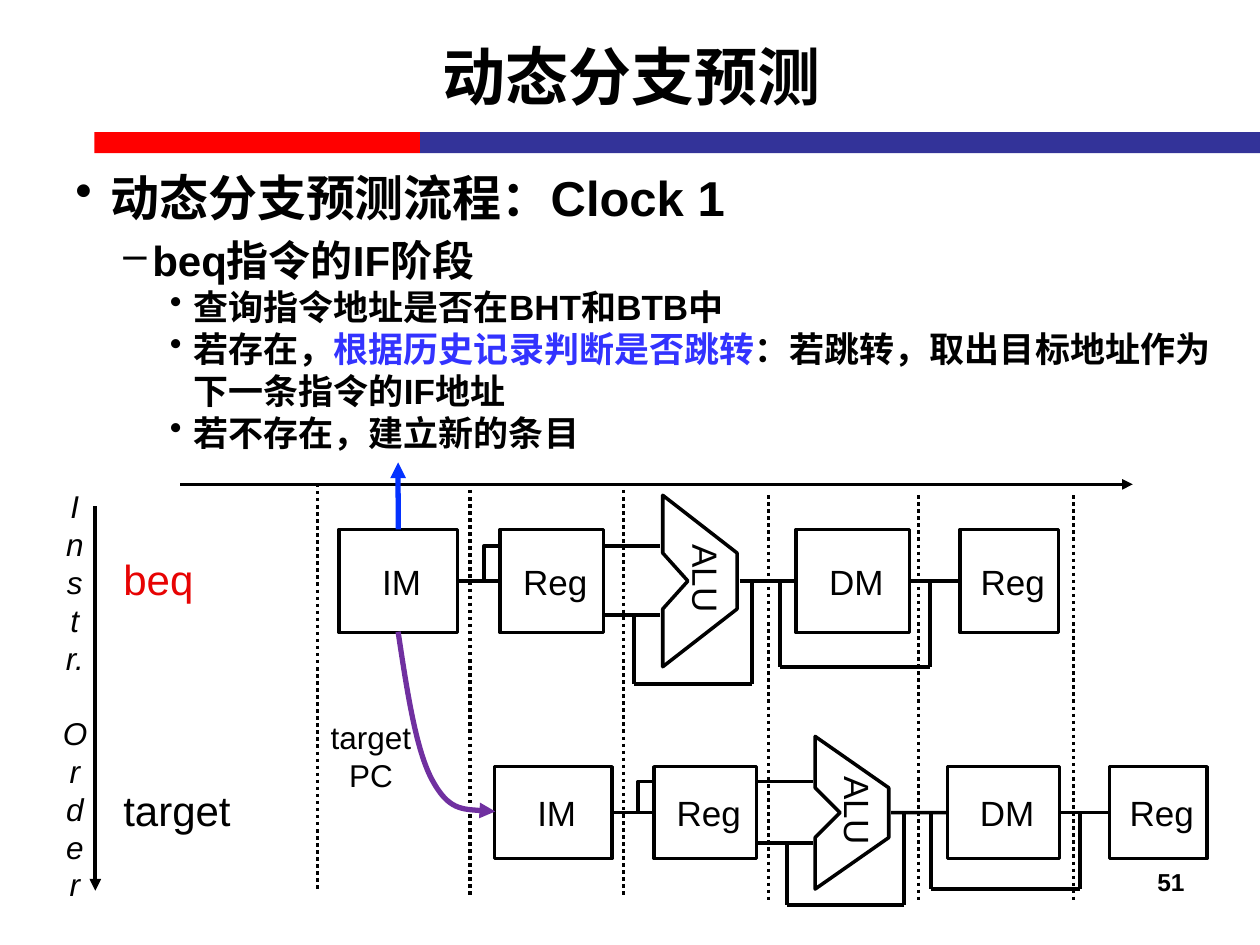
from dataclasses import dataclass
from itertools import pairwise
from typing import Optional

from lxml.etree import SubElement
from pptx import Presentation
from pptx.dml.color import RGBColor as Rgb
from pptx.enum.dml import MSO_LINE as Dash
from pptx.enum.shapes import MSO_CONNECTOR as Conn, MSO_SHAPE as Form
from pptx.enum.text import MSO_ANCHOR as Anchor, PP_ALIGN as Align
from pptx.oxml.ns import qn
from pptx.util import Pt

INK = {"black": "000000", "red": "FF0000", "navy": "333399", "link": "3333FF",
       "blue": "0432FF", "beq": "E70303", "plum": "7030A0"}


@dataclass
class Row:
    mid: float
    left: float
    wide: float
    high: float

    def at(self, x: float, y: float) -> tuple:
        return self.left + x * self.wide, self.mid + y * self.high


@dataclass
class Stage:
    name: str
    left: float
    width: float


@dataclass
class Item:
    level: int
    size: float
    mark: str
    left: float
    hang: float
    gap: float
    words: tuple


@dataclass
class Label:
    text: str
    box: tuple
    size: float
    ink: str = "black"
    bold: bool = False
    slant: bool = False
    align: Align = Align.LEFT
    wrap: bool = False
    turn: float = 0


STAGES = (Stage("IM", 193.7, 67.7), Stage("Reg", 285.8, 59),
          Stage("DM", 455, 64.8), Stage("Reg", 548.6, 56.2))
HALF = 29.5
ROWS = (Row(332, 0, 1, 1), Row(464.4, 90.9, 0.99, 0.89))
ALU = ((378.7, 16), (393.1, 0), (378.7, -16), (378.7, -49),
       (421.2, -16), (421.2, 16), (378.7, 49))
LOOPS = (((362.2, 19.5), (362.2, 59), (429.8, 59), (429.8, 0)),
         ((445.7, 0), (445.7, 49), (531.4, 49), (531.4, 0)))
ITEMS = (
    Item(0, 28, "•", 20, 20, 0, (("动态分支预测流程：Clock 1", "black"),)),
    Item(1, 24, "–", 44, 16.5, 4.8, (("beq指令的IF阶段", "black"),)),
    Item(2, 20, "•", 67.5, 13.5, 0, (("查询指令地址是否在BHT和BTB中", "black"),)),
    Item(2, 20, "•", 67.5, 13.5, 0, (
        ("若存在，", "black"), ("根据历史记录判断是否跳转", "link"),
        ("：若跳转，取出目标地址作为下一条指令的IF地址", "black"))),
    Item(2, 20, "•", 67.5, 13.5, 0, (("若不存在，建立新的条目", "black"),)),
)
LABELS = (
    Label("beq", (63.4, 312.5, 54.7, 36), 24, "beq"),
    Label("target", (63.4, 445, 76.3, 36), 24),
    Label("target\nPC", (181.4, 406.8, 61.2, 51), 18, align=Align.CENTER),
    Label("51", (516.2, 491.8, 167.8, 37.4), 14, bold=True, align=Align.RIGHT, wrap=True),
)


def color(name: str) -> Rgb:
    return Rgb.from_string(INK[name])


def style(run, size: float, ink: str = "black", bold: bool = False, slant: bool = False) -> None:
    font = run.font
    font.name, font.size, font.bold, font.italic = "Arial", Pt(size), bold, slant
    font.color.rgb = color(ink)


def write(shapes, label: Label):
    box = shapes.add_textbox(*map(Pt, label.box))
    box.rotation = label.turn
    frame = box.text_frame
    frame.word_wrap = label.wrap
    frame.text = label.text
    for para in frame.paragraphs:
        para.alignment = label.align
        for run in para.runs:
            style(run, label.size, label.ink, label.bold, label.slant)
    return frame


def stroke(shape, ink: str, width: float, arrow: bool = False,
           dash: Optional[Dash] = None) -> None:
    pen = shape.line
    pen.color.rgb = color(ink)
    pen.width = Pt(width)
    if dash is not None:
        pen.dash_style = dash
    if arrow:
        SubElement(shape._element.spPr.find(qn("a:ln")), qn("a:tailEnd"), type="triangle")


def line(shapes, start: tuple, end: tuple, width: float = 2, ink: str = "black",
         arrow: bool = False, dash: Optional[Dash] = None):
    wire = shapes.add_connector(Conn.STRAIGHT, *map(Pt, start + end))
    stroke(wire, ink, width, arrow, dash)
    SubElement(wire._element.spPr, qn("a:effectLst"))
    return wire


def trace(shapes, spots: list, close: bool, ink: str = "black", width: float = 2,
          arrow: bool = False):
    first, *rest = [(Pt(x), Pt(y)) for x, y in spots]
    pen = shapes.build_freeform(*first, scale=1)
    pen.add_line_segments(rest, close=close)
    shape = pen.convert_to_shape()
    shape.shadow.inherit = False
    shape.fill.background()
    stroke(shape, ink, width, arrow)
    return shape


def curve(shapes, spots: list) -> None:
    shape = trace(shapes, spots, False, "plum", 3, True)
    steps = list(shape._element.iter(qn("a:lnTo")))
    for i in range(0, len(steps), 3):
        bend = steps[i]
        bend.tag = qn("a:cubicBezTo")
        for step in steps[i + 1:i + 3]:
            bend.append(step[0])
            step.getparent().remove(step)


def block(shapes, row: Row, stage: Stage):
    left, top = row.at(stage.left, -HALF)
    box = shapes.add_shape(Form.RECTANGLE, Pt(left), Pt(top),
                           Pt(stage.width * row.wide), Pt(2 * HALF * row.high))
    box.shadow.inherit = False
    box.fill.background()
    stroke(box, "black", 2)
    frame = box.text_frame
    frame.word_wrap = False
    frame.margin_left, frame.margin_right = Pt(4), Pt(0)
    frame.vertical_anchor = Anchor.MIDDLE
    frame.text = stage.name
    frame.paragraphs[0].alignment = Align.CENTER
    style(frame.paragraphs[0].runs[0], 20)
    return box


def pipe(shapes, row: Row):
    trace(shapes, [row.at(*spot) for spot in ALU], True)
    x, y = row.at(403.6, -1)
    write(shapes, Label("ALU", (x - 27, y - 15.5, 54, 31), 20, turn=90))
    fetch, read, data, save = [block(shapes, row, stage) for stage in STAGES]
    for src, dest in ((fetch, read), (None, data), (data, save)):
        wire = line(shapes, row.at(422.6, 0), row.at(455, 0))
        if src is not None:
            wire.begin_connect(src, 3)
        wire.end_connect(dest, 1)
    trace(shapes, [row.at(*spot) for spot in ((276.5, 0), (276.5, -20), (285.8, -20))], False)
    for y in (-20, 19.5):
        line(shapes, row.at(345.6, y), row.at(377.3, y))
    for loop in LOOPS:
        for start, end in pairwise(loop):
            line(shapes, row.at(*start), row.at(*end), 2.25)
    return fetch


def points(shapes) -> None:
    frame = shapes.add_textbox(Pt(36), Pt(92.2), Pt(676), Pt(356.4)).text_frame
    frame.word_wrap = True
    for i, item in enumerate(ITEMS):
        para = frame.add_paragraph() if i else frame.paragraphs[0]
        props = para._p.get_or_add_pPr()
        props.set("marL", str(Pt(item.left)))
        props.set("indent", str(-Pt(item.hang)))
        SubElement(props, qn("a:buChar"), char=item.mark)
        para.level = item.level
        para.space_before = Pt(item.gap)
        for text, ink in item.words:
            run = para.add_run()
            run.text = text
            style(run, item.size, ink, True)


def main() -> None:
    deck = Presentation()
    deck.slide_width, deck.slide_height = Pt(720), Pt(540)
    shapes = deck.slides.add_slide(deck.slide_layouts[6]).shapes
    for left, width, ink in ((54, 186, "red"), (240, 480, "navy")):
        bar = shapes.add_shape(Form.RECTANGLE, Pt(left), Pt(75.5), Pt(width), Pt(12))
        bar.shadow.inherit = False
        bar.fill.solid()
        bar.fill.fore_color.rgb = color(ink)
        bar.line.fill.background()
    title = write(shapes, Label("动态分支预测", (20.2, 10.8, 681, 64.8), 36,
                                bold=True, align=Align.CENTER, wrap=True))
    title.vertical_anchor = Anchor.MIDDLE
    points(shapes)
    order = write(shapes, Label("\n".join(["I", "n", "s", "t", "r.", *"Order"]),
                                (28.8, 275, 28, 245), 18, slant=True, align=Align.CENTER))
    order.paragraphs[5].space_before = Pt(21.6)
    line(shapes, (103, 276.8), (647.3, 276.8), arrow=True)
    line(shapes, (54.5, 289.4), (54.5, 509), 2.25, arrow=True)
    first, _ = [pipe(shapes, row) for row in ROWS]
    for x, top in ((181.4, 276.5), (268.6, 280), (356.4, 280),
                   (439.2, 283), (524.9, 283), (613.4, 283)):
        line(shapes, (x, top), (x, top + 232), dash=Dash.ROUND_DOT)
    line(shapes, (227.5, 302.4), (227.5, 264.2), 3, "blue", True).begin_connect(first, 0)
    curve(shapes, [(227.5, 361), (232.6, 394.6), (237.6, 428.4), (247, 445.7),
                   (256.3, 463), (269.3, 463), (283, 463.7)])
    for label in LABELS:
        write(shapes, label)
    deck.save("out.pptx")


if __name__ == "__main__":
    main()
